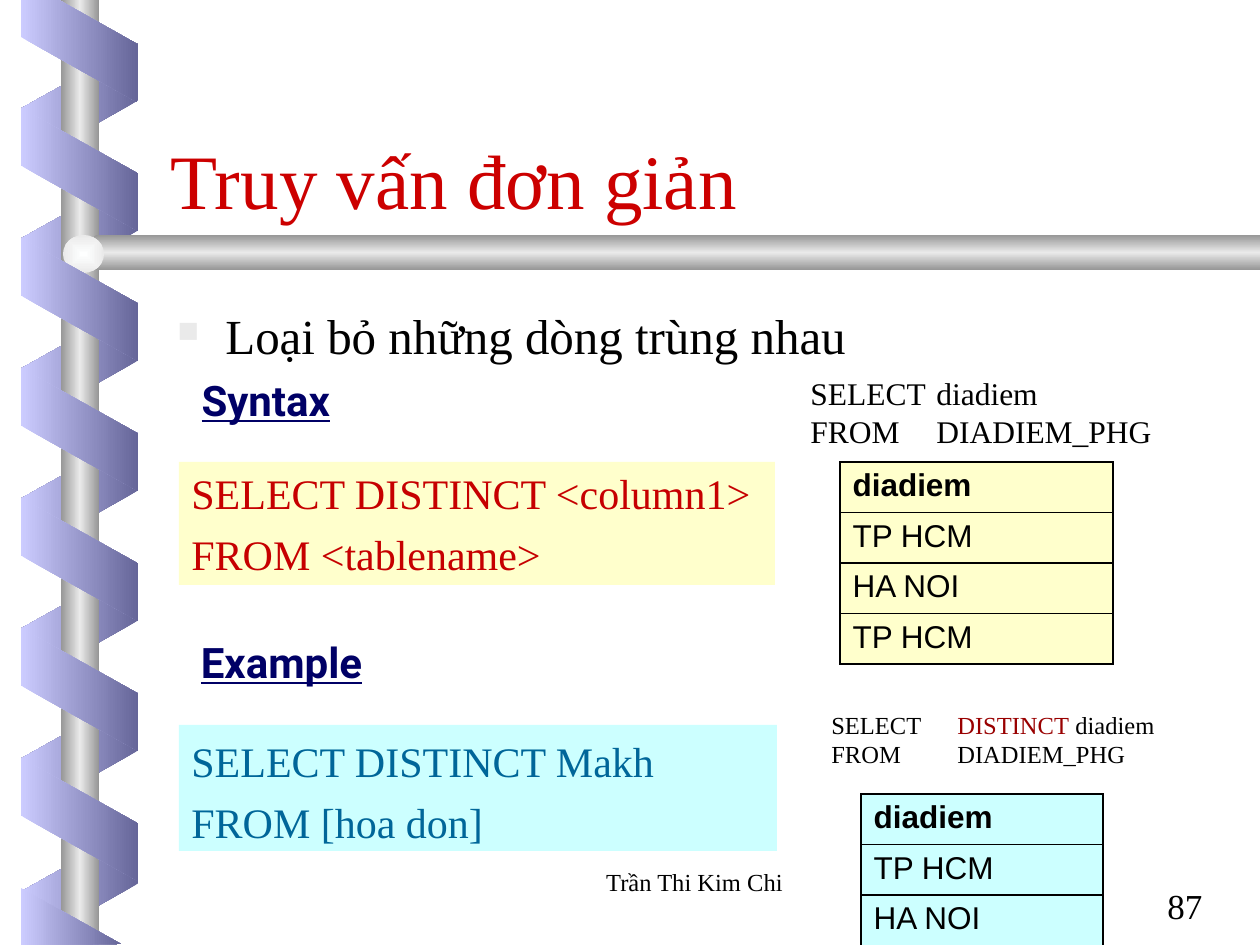
from typing import NamedTuple, Optional

import lxml.etree
import pptx
import pptx.dml.color
import pptx.enum.shapes
import pptx.enum.text
import pptx.oxml
import pptx.oxml.ns
import pptx.util

RGBColor = pptx.dml.color.RGBColor
Shape = pptx.enum.shapes.MSO_SHAPE
Align = pptx.enum.text.PP_ALIGN
Anchor = pptx.enum.text.MSO_ANCHOR
qn = pptx.oxml.ns.qn

BLACK = RGBColor(0, 0, 0)
LAVENDER = RGBColor(0xCC, 0xCC, 0xFF)
SLATE = RGBColor(0x66, 0x66, 0x99)
STEEL = RGBColor(0x96, 0x96, 0x96)
SILVER = RGBColor(0xEA, 0xEA, 0xEA)
PEARL = RGBColor(0xFE, 0xFF, 0xFF)
NAVY = RGBColor(0, 0, 0x66)
TITLE_RED = RGBColor(0xCC, 0, 0)
CODE_RED = RGBColor(0xC6, 0, 0)
KEYWORD_RED = RGBColor(0x99, 0, 0)
TEAL = RGBColor(0, 0x66, 0x99)
CREAM = RGBColor(0xFF, 0xFF, 0xCC)
AQUA = RGBColor(0xCC, 0xFF, 0xFF)

SERIF = "Times New Roman"
EMU_PER_PX = 914400 / 126
ROD = [(0, STEEL), (50, SILVER), (100, STEEL)]
LIGHT_TO_DARK = [(0, LAVENDER), (100, SLATE)]
DARK_TO_LIGHT = [(0, SLATE), (100, LAVENDER)]


class Box(NamedTuple):
    left: int
    top: int
    width: int
    height: int

    def emu(self) -> list:
        return [px(value) for value in self]


class Run(NamedTuple):
    text: str
    color: Optional[RGBColor] = None
    plain: bool = False


class TextBlock(NamedTuple):
    box: Box
    lines: list
    format: dict
    fill: Optional[RGBColor] = None


class ResultTable(NamedTuple):
    box: Box
    values: list
    fill: RGBColor


def px(value: int) -> int:
    return round(value * EMU_PER_PX)


def write_text(frame, lines, *, size, color=BLACK, font=SERIF, bold=False,
               underline=False, align=Align.LEFT, anchor=Anchor.TOP,
               wrap=True, gap=0, inset_top=6, bullet=None) -> None:
    frame.word_wrap = wrap
    frame.vertical_anchor = anchor
    frame.margin_top = px(inset_top)
    for index, line in enumerate(lines):
        paragraph = frame.paragraphs[0] if index == 0 else frame.add_paragraph()
        if bullet:
            add_bullet(paragraph, bullet)
        paragraph.alignment = align
        if index and gap:
            paragraph.space_before = pptx.util.Pt(gap)
        for part in [Run(line)] if isinstance(line, str) else line:
            run = paragraph.add_run()
            run.text = part.text
            run.font.name = font
            run.font.size = pptx.util.Pt(size)
            run.font.bold = bold and not part.plain
            run.font.underline = underline and not part.plain
            run.font.color.rgb = part.color or color


def add_bullet(paragraph, color: RGBColor) -> None:
    properties = paragraph._p.get_or_add_pPr()
    properties.set("marL", str(px(48)))
    properties.set("indent", str(-px(48)))
    bullet_color = lxml.etree.SubElement(properties, qn("a:buClr"))
    lxml.etree.SubElement(bullet_color, qn("a:srgbClr"), val=str(color))
    lxml.etree.SubElement(properties, qn("a:buSzPct"), val="60000")
    lxml.etree.SubElement(properties, qn("a:buChar"), char="■")


def set_gradient(shape, stops, angle: Optional[int] = 0) -> None:
    shape.shadow.inherit = False
    shape.line.fill.background()
    shape.fill.background()
    properties = shape._element.spPr
    gradient = lxml.etree.Element(qn("a:gradFill"), rotWithShape="0")
    stop_list = lxml.etree.SubElement(gradient, qn("a:gsLst"))
    for position, color in stops:
        stop = lxml.etree.SubElement(stop_list, qn("a:gs"), pos=str(position * 1000))
        lxml.etree.SubElement(stop, qn("a:srgbClr"), val=str(color))
    if angle is None:
        center = lxml.etree.SubElement(gradient, qn("a:path"), path="shape")
        lxml.etree.SubElement(center, qn("a:fillToRect"), l="50000", t="50000", r="50000", b="50000")
    else:
        lxml.etree.SubElement(gradient, qn("a:lin"), ang=str(angle * 60000), scaled="1")
    properties.replace(properties.find(qn("a:noFill")), gradient)


def add_gradient_shape(shapes, kind, box: Box, stops, angle=0, rotation=0, flip=False, adjustment=None) -> None:
    shape = shapes.add_shape(kind, *box.emu())
    shape.rotation = rotation
    if adjustment is not None:
        shape.adjustments[0] = adjustment
    if flip:
        shape._element.spPr.find(qn("a:xfrm")).set("flipH", "1")
    set_gradient(shape, stops, angle)


def add_ribbon(shapes, tops, stops, rotation: int, flip: bool) -> None:
    for top in tops:
        add_gradient_shape(shapes, Shape.PARALLELOGRAM, Box(18, top, 123, 117), stops,
                           rotation=rotation, flip=flip, adjustment=0.56)


def add_ribbon_end(shapes, points) -> None:
    start, *others = [(px(x), px(y)) for x, y in points]
    builder = shapes.build_freeform(*start, scale=1.0)
    builder.add_line_segments(others, close=True)
    set_gradient(builder.convert_to_shape(), LIGHT_TO_DARK)


def add_spiral(shapes) -> None:
    back = shapes.add_group_shape()
    add_ribbon(back.shapes, [*range(46, 697, 130), 829], DARK_TO_LIGHT, 90, True)
    add_gradient_shape(shapes, Shape.RECTANGLE, Box(61, 0, 38, 945), ROD)
    add_gradient_shape(shapes, Shape.PENTAGON, Box(76, 235, 1184, 35), ROD, angle=90, flip=True, adjustment=0.59)
    add_gradient_shape(shapes, Shape.OVAL, Box(63, 235, 41, 38), [(0, PEARL), (100, SILVER)], angle=None)
    front = shapes.add_group_shape()
    add_ribbon(front.shapes, range(111, 762, 130), LIGHT_TO_DARK, 270, False)
    add_ribbon_end(front.shapes, [(21, 0), (21, 37), (137, 102), (137, 44), (59, 0)])
    add_ribbon_end(front.shapes, [(121, 944), (21, 888), (21, 945)])


def add_text_block(shapes, block: TextBlock) -> None:
    if block.fill is None:
        shape = shapes.add_textbox(*block.box.emu())
    else:
        shape = shapes.add_shape(Shape.RECTANGLE, *block.box.emu())
        shape.shadow.inherit = False
        shape.fill.solid()
        shape.fill.fore_color.rgb = block.fill
        shape.line.fill.background()
    write_text(shape.text_frame, block.lines, **block.format)


def add_result_table(shapes, result: ResultTable) -> None:
    table = shapes.add_table(len(result.values), 1, *result.box.emu()).table
    table.first_row = table.horz_banding = False
    for index, value in enumerate(result.values):
        cell = table.cell(index, 0)
        write_text(cell.text_frame, [value], size=18, font="Arial", bold=index == 0)
        properties = cell._tc.get_or_add_tcPr()
        for side in ("a:lnL", "a:lnR", "a:lnT", "a:lnB"):
            line = lxml.etree.SubElement(properties, qn(side), w="12700")
            fill = lxml.etree.SubElement(line, qn("a:solidFill"))
            lxml.etree.SubElement(fill, qn("a:srgbClr"), val=str(BLACK))
        cell.fill.solid()
        cell.fill.fore_color.rgb = result.fill


HEADING = dict(size=24, color=NAVY, font="Roboto", bold=True, underline=True,
               align=Align.CENTER, anchor=Anchor.BOTTOM, wrap=False)
TEXT_BLOCKS = [
    TextBlock(Box(1155, 873, 105, 54), ["87"], dict(size=20, inset_top=11)),
    TextBlock(Box(165, 294, 1113, 73), ["Loại bỏ những dòng trùng nhau"],
              dict(size=28, bullet=SILVER, inset_top=12)),
    TextBlock(Box(179, 368, 184, 63), [[Run("Syntax"), Run(" ", plain=True)]], HEADING),
    TextBlock(Box(179, 462, 596, 123), ["SELECT DISTINCT <column1>", "FROM <tablename>"],
              dict(size=24, color=CODE_RED, anchor=Anchor.BOTTOM, wrap=False, gap=6), CREAM),
    TextBlock(Box(179, 725, 598, 126), ["SELECT DISTINCT Makh", "FROM [hoa don]"],
              dict(size=24, color=TEAL, gap=6, inset_top=11), AQUA),
    TextBlock(Box(179, 630, 205, 63), ["Example"], HEADING),
    TextBlock(Box(798, 368, 420, 88), ["SELECT\tdiadiem", "FROM\tDIADIEM_PHG"], dict(size=18)),
    TextBlock(Box(819, 704, 388, 72),
              [[Run("SELECT\t"), Run("DISTINCT", KEYWORD_RED), Run(" diadiem")], "FROM\tDIADIEM_PHG"],
              dict(size=14)),
    TextBlock(Box(495, 861, 399, 63), ["Trần Thi Kim Chi"], dict(size=14, align=Align.CENTER)),
]
RESULT_TABLES = [
    ResultTable(Box(840, 462, 273, 202), ["diadiem", "TP HCM", "HA NOI", "TP HCM"], CREAM),
    ResultTable(Box(861, 794, 242, 151), ["diadiem", "TP HCM", "HA NOI"], AQUA),
]


def main() -> None:
    presentation = pptx.Presentation()
    presentation.slide_width, presentation.slide_height = px(1260), px(945)
    slide = presentation.slides.add_slide(presentation.slide_layouts[5])
    title = slide.shapes.title
    title.left, title.top, title.width, title.height = Box(158, 126, 1074, 105).emu()
    write_text(title.text_frame, ["Truy vấn đơn giản"], size=44, color=TITLE_RED, anchor=Anchor.BOTTOM)
    add_spiral(slide.shapes)
    for block in TEXT_BLOCKS:
        add_text_block(slide.shapes, block)
    for result in RESULT_TABLES:
        add_result_table(slide.shapes, result)
    presentation.save("out.pptx")


if __name__ == "__main__":
    main()
